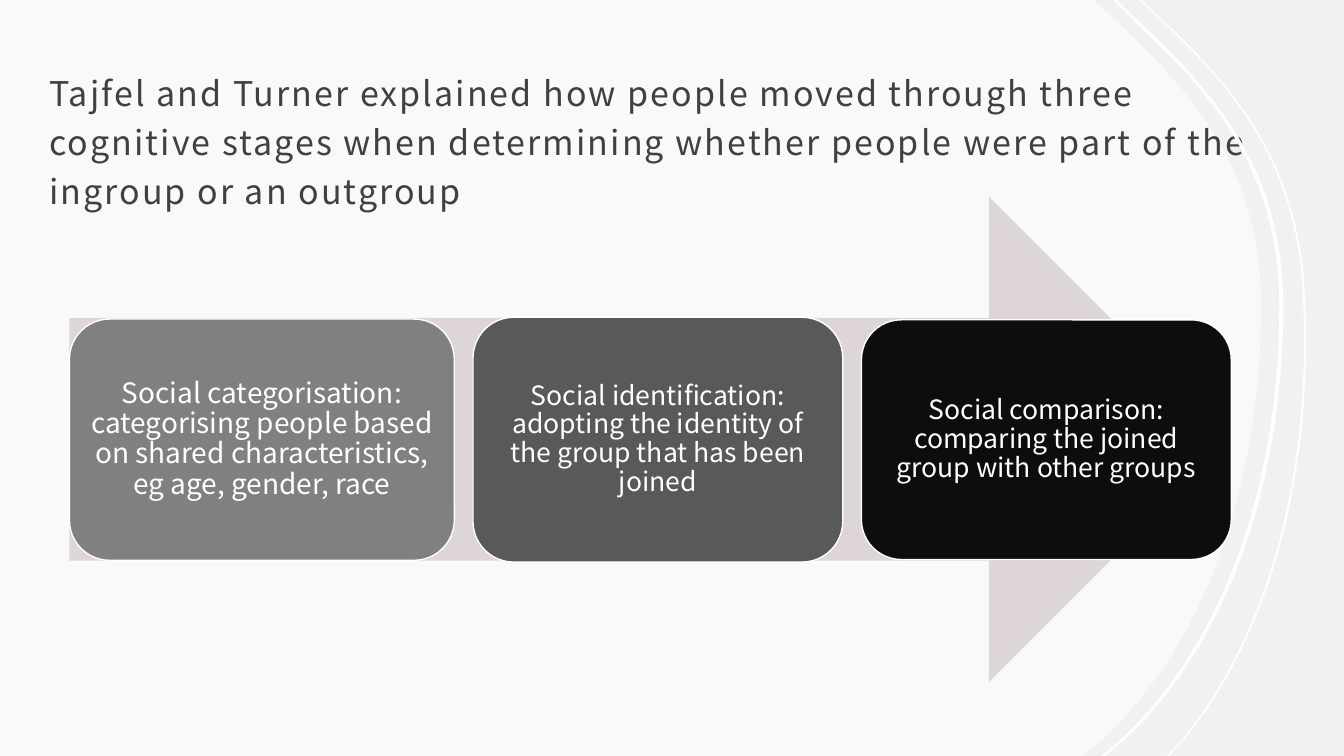
from pptx import Presentation
from pptx.dml.color import RGBColor
from pptx.enum.shapes import MSO_SHAPE
from pptx.enum.text import MSO_ANCHOR, MSO_AUTO_SIZE, PP_ALIGN
from pptx.oxml.ns import qn
from pptx.util import Cm, Pt
from lxml.etree import SubElement

FONT = "Noto Sans CJK JP"
BACKGROUND = RGBColor(0xF3, 0xF0, 0xF1)
WHITE = RGBColor(0xFF, 0xFF, 0xFF)
TITLE_GRAY = RGBColor(0x40, 0x40, 0x40)
ARROW_PINK = RGBColor(0xDE, 0xD5, 0xD8)
MID_GRAY = RGBColor(0x80, 0x80, 0x80)
DARK_GRAY = RGBColor(0x59, 0x59, 0x59)
NEAR_BLACK = RGBColor(0x0D, 0x0D, 0x0D)

INNER_EDGE = [(27.58, 0), (28.5, 0.89), (30.33, 2.64), (31.78, 4.55), (31.78, 7.72),
              (31.78, 12.5), (30.18, 16.69), (27.36, 19), (27.28, 19.05)]
OUTER_EDGE = [(28.7, 0), (29.36, 0.61), (31.22, 2.36), (32.72, 4.27), (32.84, 7.54),
              (33.05, 12.19), (31.85, 16.38), (29.49, 18.97), (29.41, 19.05)]


def shift_edge(edge, shift):
    return [(x + shift, y) for x, y in edge]


def add_white_outline(points, curve_starts):
    corners = [(Cm(x), Cm(y)) for x, y in points]
    builder = slide.shapes.build_freeform(*corners[0])
    builder.add_line_segments(corners[1:], close=True)
    shape = builder.convert_to_shape()
    outline = shape._element.find(".//" + qn("a:path"))
    segments = list(outline)
    for start in curve_starts:
        curve = SubElement(outline, qn("a:cubicBezTo"))
        segments[start].addprevious(curve)
        for segment in segments[start:start + 3]:
            curve.append(segment[0])
            outline.remove(segment)
    shape.shadow.inherit = False
    shape.fill.solid()
    shape.fill.fore_color.rgb = WHITE
    shape.line.fill.background()
    return shape


presentation = Presentation()
presentation.slide_width = Cm(33.87)
presentation.slide_height = Cm(19.05)
slide = presentation.slides.add_slide(presentation.slide_layouts[5])
slide.background.fill.solid()
slide.background.fill.fore_color.rgb = BACKGROUND

panel = add_white_outline(INNER_EDGE + [(0, 19.05), (0, 0)], (2, 5))
panel_color = panel.fill._xPr.find(qn("a:solidFill"))[0]
SubElement(panel_color, qn("a:alpha"), val="60000")

title = slide.shapes.title
panel._element.addnext(title._element)
title.left, title.top, title.width, title.height = Cm(0.94), Cm(1.22), Cm(31.39), Cm(4.9)
frame = title.text_frame
frame.word_wrap = True
frame.auto_size = MSO_AUTO_SIZE.NONE
frame.vertical_anchor = MSO_ANCHOR.BOTTOM
frame.margin_left = frame.margin_right = frame.margin_top = Cm(0.3)
frame.margin_bottom = Cm(0.79)
paragraph = frame.paragraphs[0]
paragraph.alignment = PP_ALIGN.LEFT
paragraph.line_spacing = 1.2
run = paragraph.add_run()
run.text = ("Tajfel and Turner explained how people moved through three cognitive stages "
            "when determining whether people were part of the ingroup or an outgroup")
run.font.size = Pt(24.3)
run.font.name = FONT
run.font.color.rgb = TITLE_GRAY
run.font._element.set("spc", "150")

for edge, near, far in ((OUTER_EDGE, 0, 0.05), (INNER_EDGE, 0.46, 0.56)):
    add_white_outline(shift_edge(edge, near) + shift_edge(edge, far)[::-1], (2, 5, 11, 14))

arrow = slide.shapes.add_shape(MSO_SHAPE.RIGHT_ARROW, Cm(1.75), Cm(4.95), Cm(29.29), Cm(12.24))
arrow.shadow.inherit = False
arrow.fill.solid()
arrow.fill.fore_color.rgb = ARROW_PINK
arrow.line.fill.background()

stages = [
    (1.75, 9.7, 6.08, MID_GRAY, 20,
     "Social categorisation: categorising people based on shared characteristics, eg age, gender, race"),
    (11.92, 9.32, 6.17, DARK_GRAY, 19,
     "Social identification: adopting the identity of the group that has been joined"),
    (21.71, 9.32, 6.04, NEAR_BLACK, 19,
     "Social comparison: comparing the joined group with other groups"),
]
middle = 11.08
for left, width, height, color, size, text in stages:
    box = slide.shapes.add_shape(MSO_SHAPE.ROUNDED_RECTANGLE, Cm(left), Cm(middle - height / 2),
                                 Cm(width), Cm(height))
    box.shadow.inherit = False
    box.fill.solid()
    box.fill.fore_color.rgb = color
    box.line.color.rgb = WHITE
    box.line.width = Pt(1)
    frame = box.text_frame
    frame.word_wrap = True
    frame.vertical_anchor = MSO_ANCHOR.MIDDLE
    frame.margin_left = frame.margin_right = frame.margin_top = frame.margin_bottom = Cm(0.2)
    paragraph = frame.paragraphs[0]
    paragraph.alignment = PP_ALIGN.CENTER
    paragraph.line_spacing = 0.9
    run = paragraph.add_run()
    run.text = text
    run.font.size = Pt(size)
    run.font.name = FONT
    run.font.color.rgb = WHITE

presentation.save("out.pptx")
